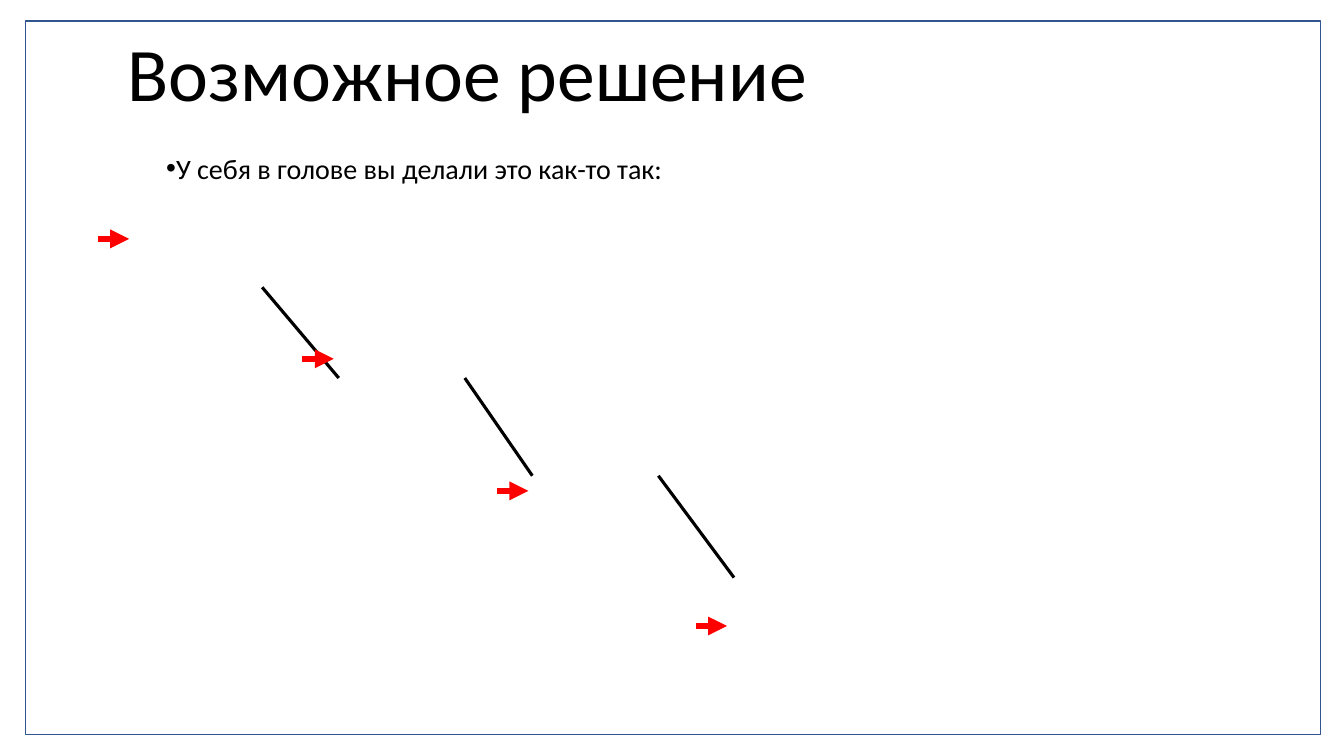
from pptx import Presentation
from pptx.dml.color import RGBColor
from pptx.enum.shapes import MSO_CONNECTOR, MSO_SHAPE
from pptx.oxml.ns import qn
from pptx.util import Inches, Pt
from lxml import etree

RECT = MSO_SHAPE.RECTANGLE
LINE = MSO_CONNECTOR.STRAIGHT
WHITE = RGBColor(0xFF, 0xFF, 0xFF)
BLACK = RGBColor(0, 0, 0)
BLUE = RGBColor(0x32, 0x54, 0x91)
RED = RGBColor(0xFF, 0, 0)

deck = Presentation()
deck.slide_width = Inches(13.33)
deck.slide_height = Inches(7.5)
slide = deck.slides.add_slide(deck.slide_layouts[6])
shapes = slide.shapes


def add_line(x1, y1, x2, y2, color, width):
    line = shapes.add_connector(LINE, Inches(x1), Inches(y1), Inches(x2), Inches(y2))
    line.line.color.rgb = color
    line.line.width = Pt(width)
    etree.SubElement(line._element.spPr, qn("a:effectLst"))
    return line


def add_run(para, text, size):
    run = para.add_run()
    run.text = text
    run.font.name = "Calibri"
    run.font.size = Pt(size)
    run.font.color.rgb = BLACK


frame = shapes.add_shape(RECT, Inches(0.25), Inches(0.21), Inches(12.85), Inches(7.08))
frame.shadow.inherit = False
frame.fill.solid()
frame.fill.fore_color.rgb = WHITE
frame.line.color.rgb = BLUE
frame.line.width = Pt(1)

box = shapes.add_textbox(Inches(1.17), Inches(0.21), Inches(7.01), Inches(2.02))
body = box.text_frame
body.word_wrap = True
add_run(body.paragraphs[0], "Возможное решение", 54)

point = body.add_paragraph()
point.space_before = Pt(24.4)
props = point._p.get_or_add_pPr()
props.set("marL", "0")
props.set("indent", str(Inches(0.38)))
font = etree.SubElement(props, qn("a:buFont"))
font.set("typeface", "Arial")
mark = etree.SubElement(props, qn("a:buChar"))
mark.set("char", "•")
add_run(point, "У себя в голове вы делали это как-то так:", 20)

links = [
    (2.6, 2.85, 3.36, 3.75),
    (4.61, 3.75, 5.28, 4.72),
    (6.53, 4.72, 7.28, 5.73),
]
for ends in links:
    add_line(*ends, BLACK, 2.25)

for x, y in [(0.97, 2.37), (3, 3.56), (4.93, 4.87), (6.9, 6.21)]:
    arrow = add_line(x, y, x + 0.31, y, RED, 4.5)
    tip = etree.SubElement(arrow.line._get_or_add_ln(), qn("a:tailEnd"))
    tip.set("type", "triangle")

deck.save("out.pptx")
